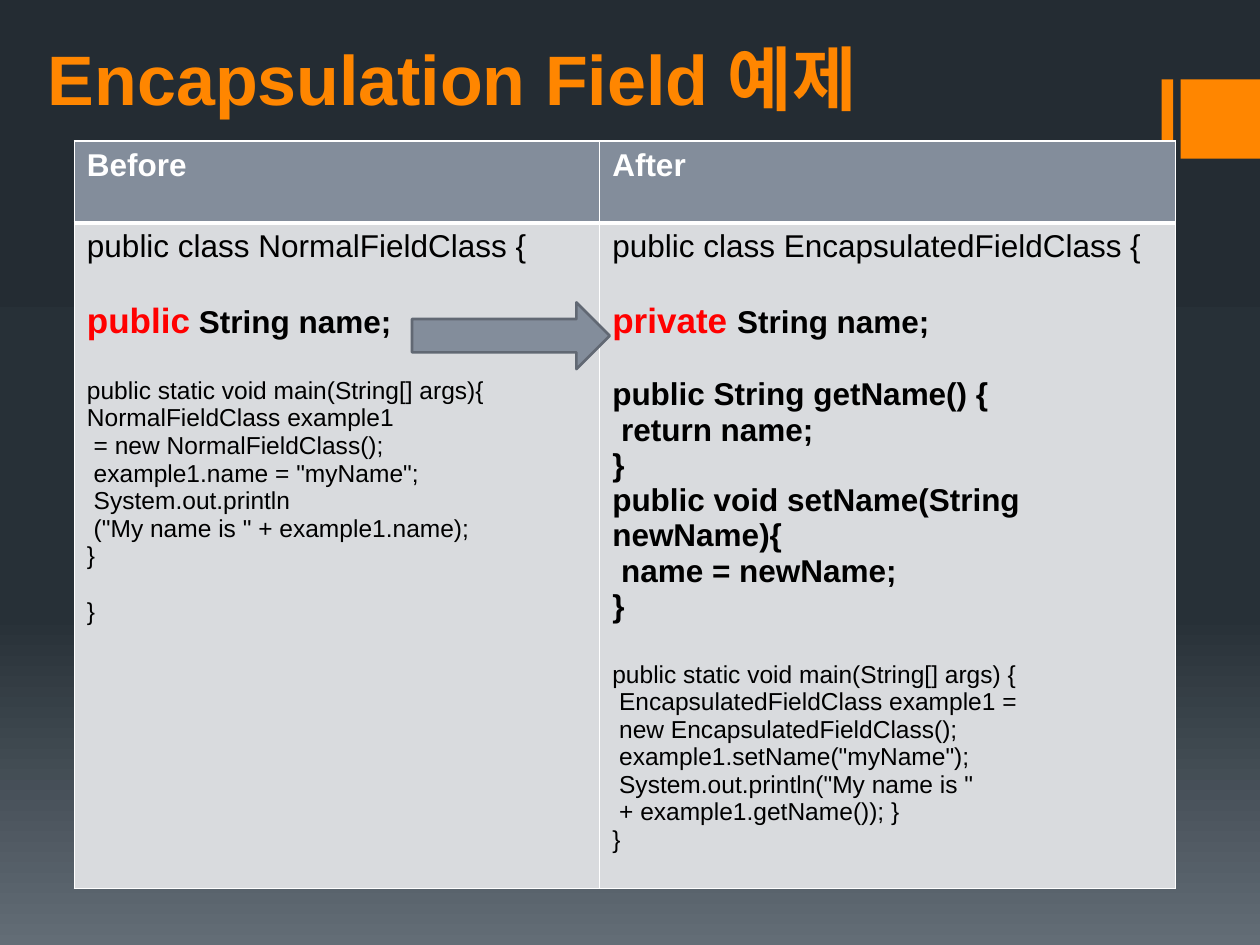
from copy import deepcopy
from dataclasses import dataclass

from lxml import etree
from pptx import Presentation
from pptx.dml.color import RGBColor
from pptx.enum.shapes import MSO_SHAPE
from pptx.enum.text import MSO_ANCHOR, MSO_AUTO_SIZE, PP_ALIGN
from pptx.oxml.ns import qn
from pptx.util import Inches, Pt

RECTANGLE = MSO_SHAPE.RECTANGLE
RIGHT_ARROW = MSO_SHAPE.RIGHT_ARROW
BOTTOM = MSO_ANCHOR.BOTTOM
LEFT = PP_ALIGN.LEFT
NO_AUTOFIT = MSO_AUTO_SIZE.NONE
TITLE_ONLY_LAYOUT = 5


@dataclass(frozen=True)
class Theme:
    """Colours, font and type sizes of the slide."""

    font: str = "Arial"
    background: tuple = ((0, "242C33"), (0.65, "273037"), (1, "636D76"))
    accent: str = "FF8600"
    header: str = "838D9B"
    arrow_line: str = "616873"
    body: str = "D9DBDE"
    white: str = "FFFFFF"
    black: str = "000000"
    keyword: str = "FF0000"
    title_size: int = 40
    keyword_size: int = 20
    code_size: int = 18
    small_size: int = 14
    wide_gap: int = 21
    narrow_gap: int = 16


THEME = Theme()


@dataclass(frozen=True)
class CodeBlock:
    """Lines of code in one style, with an optional highlighted first word."""

    text: str
    size: int = THEME.code_size
    bold: bool = False
    gap: int = THEME.wide_gap
    keyword: str = ""


BEFORE_CODE = (
    CodeBlock("public class NormalFieldClass {", gap=0),
    CodeBlock(" String name;", bold=True, keyword="public"),
    CodeBlock(
        """public static void main(String[] args){
NormalFieldClass example1
 = new NormalFieldClass();
 example1.name = "myName";
 System.out.println
 ("My name is " + example1.name);
}""",
        size=THEME.small_size,
    ),
    CodeBlock("}", size=THEME.small_size, gap=THEME.narrow_gap),
)

AFTER_CODE = (
    CodeBlock("public class EncapsulatedFieldClass {", gap=0),
    CodeBlock("String name;", bold=True, keyword="private "),
    CodeBlock(
        """public String getName() {
 return name;
}
public void setName(String newName){
 name = newName;
}""",
        bold=True,
    ),
    CodeBlock(
        """public static void main(String[] args) {
 EncapsulatedFieldClass example1 =
 new EncapsulatedFieldClass();
 example1.setName("myName");
 System.out.println("My name is "
 + example1.getName()); }
}""",
        size=THEME.small_size,
    ),
)


def style_run(run, size, color, bold):
    """Set the font of a run."""
    run.font.name = THEME.font
    run.font.size = Pt(size)
    run.font.bold = bold
    run.font.color.rgb = RGBColor.from_string(color)


def set_background(slide):
    """Give the slide its vertical three-stop gradient."""
    fill = slide.background.fill
    fill.gradient()
    fill.gradient_angle = 270
    stop_list = slide.element.find(".//" + qn("a:gsLst"))
    stop_list.append(deepcopy(stop_list[0]))
    for stop, (position, color) in zip(fill.gradient_stops, THEME.background):
        stop.position = position
        stop.color.rgb = RGBColor.from_string(color)


def add_filled_shape(slide, kind, box, fill, line=None):
    """Add a flat preset shape."""
    shape = slide.shapes.add_shape(kind, *map(Inches, box))
    shape.shadow.inherit = False
    shape.fill.solid()
    shape.fill.fore_color.rgb = RGBColor.from_string(fill)
    if line:
        shape.line.color.rgb = RGBColor.from_string(line)
        shape.line.width = Pt(1.5)
    else:
        shape.line.fill.background()


def set_title(slide, text, box):
    """Place and format the title placeholder."""
    title = slide.shapes.title
    title.left, title.top, title.width, title.height = map(Inches, box)
    frame = title.text_frame
    frame.text = text
    frame.auto_size = NO_AUTOFIT
    frame.vertical_anchor = BOTTOM
    paragraph = frame.paragraphs[0]
    paragraph.alignment = LEFT
    style_run(paragraph.runs[0], THEME.title_size, THEME.accent, True)


def style_cell(cell, fill, top=1, bottom=1):
    """Set the white borders and the fill of a cell."""
    properties = cell._tc.get_or_add_tcPr()
    widths = {"a:lnL": 1, "a:lnR": 1, "a:lnT": top, "a:lnB": bottom}
    for tag, width in widths.items():
        border = etree.SubElement(properties, qn(tag), w=str(Pt(width)))
        solid = etree.SubElement(border, qn("a:solidFill"))
        etree.SubElement(solid, qn("a:srgbClr"), val=THEME.white)
    cell.fill.solid()
    cell.fill.fore_color.rgb = RGBColor.from_string(fill)


def write_code(cell, blocks):
    """Write code blocks into a cell, with a gap above each block."""
    frame = cell.text_frame
    frame.text = "\n".join(block.keyword or block.text for block in blocks)
    paragraphs = iter(frame.paragraphs)
    for block in blocks:
        for index, line in enumerate(block.text.split("\n")):
            paragraph = next(paragraphs)
            paragraph.space_before = Pt(0 if index else block.gap)
            run = paragraph.runs[0]
            if block.keyword:
                style_run(run, THEME.keyword_size, THEME.keyword, True)
                run = paragraph.add_run()
                run.text = line
            style_run(run, block.size, THEME.black, block.bold)


def add_comparison_table(slide, columns):
    """Add the table with a heading and code in each column."""
    box = map(Inches, (0.59, 1.12, 8.74, 5.93))
    table = slide.shapes.add_table(2, len(columns), *box).table
    for row, height in zip(table.rows, (0.65, 5.28)):
        row.height = Inches(height)
    for index, (heading, width, code) in enumerate(columns):
        table.columns[index].width = Inches(width)
        header, body = table.cell(0, index), table.cell(1, index)
        style_cell(header, THEME.header, bottom=3)
        style_cell(body, THEME.body, top=3)
        header.text_frame.text = heading
        run = header.text_frame.paragraphs[0].runs[0]
        style_run(run, THEME.code_size, THEME.white, True)
        write_code(body, code)


def main():
    """Build and save the slide."""
    presentation = Presentation()
    presentation.slide_width = Inches(10)
    presentation.slide_height = Inches(7.5)
    layout = presentation.slide_layouts[TITLE_ONLY_LAYOUT]
    slide = presentation.slides.add_slide(layout)
    set_background(slide)
    for left, width in ((9.22, 0.09), (9.37, 0.63)):
        add_filled_shape(slide, RECTANGLE, (left, 0.63, width, 0.63), THEME.accent)
    set_title(slide, "Encapsulation Field 예제", (0.28, 0.21, 8.41, 0.79))
    add_comparison_table(
        slide, (("Before", 4.17, BEFORE_CODE), ("After", 4.57, AFTER_CODE))
    )
    arrow_box = (3.27, 2.4, 1.57, 0.53)
    add_filled_shape(slide, RIGHT_ARROW, arrow_box, THEME.header, THEME.arrow_line)
    presentation.save("out.pptx")


if __name__ == "__main__":
    main()
